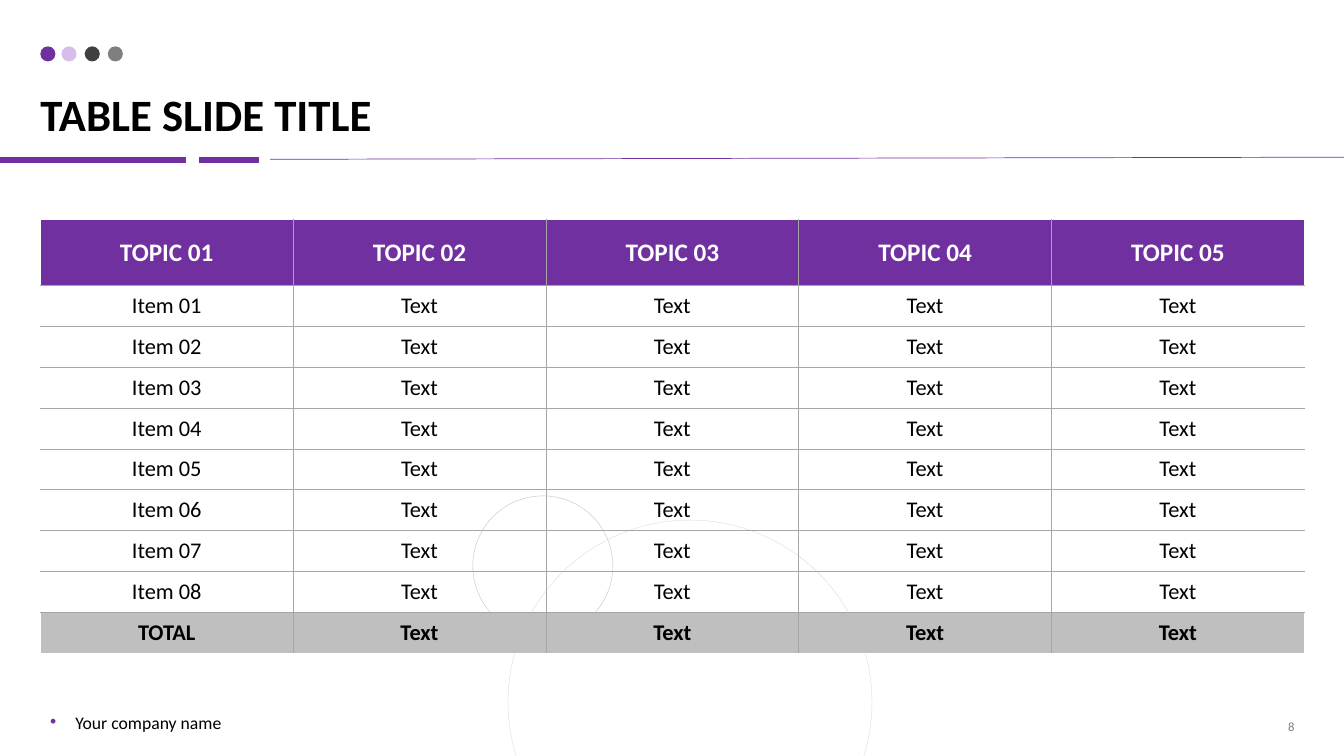
from dataclasses import dataclass, field
from typing import Any, Optional

from lxml.etree import SubElement
from pptx import Presentation
from pptx.dml.color import RGBColor
from pptx.enum.shapes import MSO_CONNECTOR as Connector, MSO_SHAPE as Preset
from pptx.enum.text import MSO_ANCHOR as Anchor, PP_ALIGN as Align
from pptx.oxml import parse_xml
from pptx.oxml.ns import nsdecls, qn
from pptx.util import Pt

COLORS = {
    "purple": "7030A0", "lilac": "C7A2E3", "charcoal": "404040", "gray": "7F7F7F",
    "grid": "A6A6A6", "total": "BFBFBF", "pale": "D9D9D9", "white": "FFFFFF", "black": "000000",
}
FONT = "Calibri"
MARGIN, CONTENT_WIDTH = 28.8, 902.9
COLUMN_COUNT, ITEM_COUNT = 5, 8
HEADER_HEIGHT, ROW_HEIGHT = 46.8, 29.2


@dataclass
class Rule:
    start: tuple[float, float]
    end: tuple[float, float]
    weight: float


@dataclass
class Circle:
    left: float
    top: float
    size: float
    fill: Optional[str] = None
    line: Optional[str] = None
    opacity: int = 100


@dataclass
class RowStyle:
    size: float
    color: str
    bold: bool
    fill: Optional[str] = None


@dataclass
class Footer:
    text: str
    left: float
    width: float
    size: float
    color: str
    bullet: bool = False
    frame: dict[str, Any] = field(default_factory=dict)
    para: dict[str, Any] = field(default_factory=dict)


RULES = [
    Rule((-2, 114.5), (133.2, 114.5), 4.5),
    Rule((141.8, 114.5), (185, 114.5), 4.5),
    Rule((193, 113.8), (960, 112.3), 0.5),
]
CIRCLES = [
    Circle(28.8, 33.1, 10.8, "purple"),
    Circle(43.9, 33.1, 10.8, "lilac", opacity=70),
    Circle(60.5, 33.1, 10.8, "charcoal"),
    Circle(77, 33.1, 10.8, "gray"),
    Circle(362.9, 371.5, 260, line="pale"),
    Circle(337.7, 354.2, 100.1, line="total"),
]
HEADER = RowStyle(18, "white", True, "purple")
ITEM = RowStyle(16, "black", False)
TOTAL = RowStyle(16, "black", True, "total")
FOOTERS = [
    Footer("Your company name", MARGIN, 177.8, 12.6, "black", bullet=True,
           para={"line_spacing": 0.7}),
    Footer("8", 715.7, 216, 9, "gray", frame={"vertical_anchor": Anchor.MIDDLE},
           para={"alignment": Align.RIGHT}),
]


def rgb(name: str) -> RGBColor:
    return RGBColor.from_string(COLORS[name])


def apply(target: Any, values: dict[str, Any]) -> None:
    for name, value in values.items():
        setattr(target, name, value)


def write(para: Any, text: str, size: float, color: str, bold: bool = False) -> None:
    span = para.add_run()
    span.text = text
    apply(span.font, {"name": FONT, "size": Pt(size), "bold": bold})
    span.font.color.rgb = rgb(color)


def draw_rule(page: Any, rule: Rule) -> None:
    points = [Pt(value) for value in (*rule.start, *rule.end)]
    line = page.shapes.add_connector(Connector.STRAIGHT, *points)
    line.line.color.rgb = rgb("purple")
    line.line.width = Pt(rule.weight)
    SubElement(line._element.spPr, qn("a:effectLst"))


def draw_circle(page: Any, circle: Circle) -> None:
    shape = page.shapes.add_shape(Preset.OVAL, Pt(circle.left), Pt(circle.top),
                                  Pt(circle.size), Pt(circle.size))
    shape.shadow.inherit = False
    if circle.fill:
        shape.fill.solid()
        shape.fill.fore_color.rgb = rgb(circle.fill)
    else:
        shape.fill.background()
    if circle.line:
        shape.line.color.rgb = rgb(circle.line)
        shape.line.width = Pt(0.25)
    else:
        shape.line.fill.background()
    if circle.opacity < 100:
        color = shape._element.spPr.find(qn("a:solidFill"))[0]
        SubElement(color, qn("a:alpha"), val=str(circle.opacity * 1000))


def set_border(cell: Any, side: str, outer: bool) -> None:
    color, weight = ("white", 1) if outer else ("grid", 0.5)
    cell._tc.get_or_add_tcPr().append(parse_xml(
        f'<a:ln{side} {nsdecls("a")} w="{Pt(weight)}"><a:solidFill>'
        f'<a:srgbClr val="{COLORS[color]}"/></a:solidFill></a:ln{side}>'))


def draw_table(page: Any) -> None:
    columns = range(1, COLUMN_COUNT + 1)
    texts = ["Text"] * (COLUMN_COUNT - 1)
    rows = [([f"TOPIC {number:02}" for number in columns], HEADER)]
    rows += [([f"Item {number:02}", *texts], ITEM) for number in range(1, ITEM_COUNT + 1)]
    rows.append((["TOTAL", *texts], TOTAL))
    height = HEADER_HEIGHT + ROW_HEIGHT * (len(rows) - 1)
    table = page.shapes.add_table(len(rows), COLUMN_COUNT, Pt(MARGIN), Pt(157),
                                  Pt(CONTENT_WIDTH), Pt(height)).table
    apply(table, {"first_row": False, "horz_banding": False})
    for row_index, (words, style) in enumerate(rows):
        table.rows[row_index].height = Pt(ROW_HEIGHT if row_index else HEADER_HEIGHT)
        for column_index, word in enumerate(words):
            cell = table.cell(row_index, column_index)
            cell.vertical_anchor = Anchor.MIDDLE
            outer_sides = {"L": column_index == 0, "R": column_index == COLUMN_COUNT - 1,
                           "T": row_index == 0, "B": row_index == len(rows) - 1}
            for side, outer in outer_sides.items():
                set_border(cell, side, outer)
            if style.fill:
                cell.fill.solid()
                cell.fill.fore_color.rgb = rgb(style.fill)
            else:
                cell.fill.background()
            para = cell.text_frame.paragraphs[0]
            para.alignment = Align.CENTER
            write(para, word, style.size, style.color, style.bold)


def draw_footer(page: Any, footer: Footer) -> None:
    box = page.shapes.add_textbox(Pt(footer.left), Pt(509), Pt(footer.width), Pt(19.4))
    apply(box.text_frame, {"word_wrap": True, **footer.frame})
    para = box.text_frame.paragraphs[0]
    if footer.bullet:
        props = para._p.get_or_add_pPr()
        apply_indent = {"marL": str(Pt(18)), "indent": str(-Pt(18))}
        for name, value in apply_indent.items():
            props.set(name, value)
        color = SubElement(props, qn("a:buClr"))
        SubElement(color, qn("a:srgbClr"), val=COLORS["purple"])
        SubElement(props, qn("a:buFont"), typeface="Arial")
        SubElement(props, qn("a:buChar"), char="•")
    apply(para, footer.para)
    write(para, footer.text, footer.size, footer.color)


def draw_title(page: Any, text: str) -> None:
    title = page.shapes.title
    apply(title, {"left": Pt(MARGIN), "top": Pt(19.4),
                  "width": Pt(CONTENT_WIDTH), "height": Pt(81.4)})
    apply(title.text_frame, {"vertical_anchor": Anchor.BOTTOM, "word_wrap": True,
                             "margin_left": 0, "margin_right": 0,
                             "margin_top": 0, "margin_bottom": 0})
    para = title.text_frame.paragraphs[0]
    apply(para, {"alignment": Align.LEFT, "line_spacing": 0.9})
    write(para, text, 32, "black", True)


def main() -> None:
    deck = Presentation()
    apply(deck, {"slide_width": Pt(960), "slide_height": Pt(540)})
    page = deck.slides.add_slide(deck.slide_layouts[5])

    # Decoration behind the content
    for rule in RULES:
        draw_rule(page, rule)
    for circle in CIRCLES:
        draw_circle(page, circle)

    # Title, table and footer
    draw_title(page, "TABLE SLIDE TITLE")
    draw_table(page)
    for footer in FOOTERS:
        draw_footer(page, footer)
    deck.save("out.pptx")


if __name__ == "__main__":
    main()
